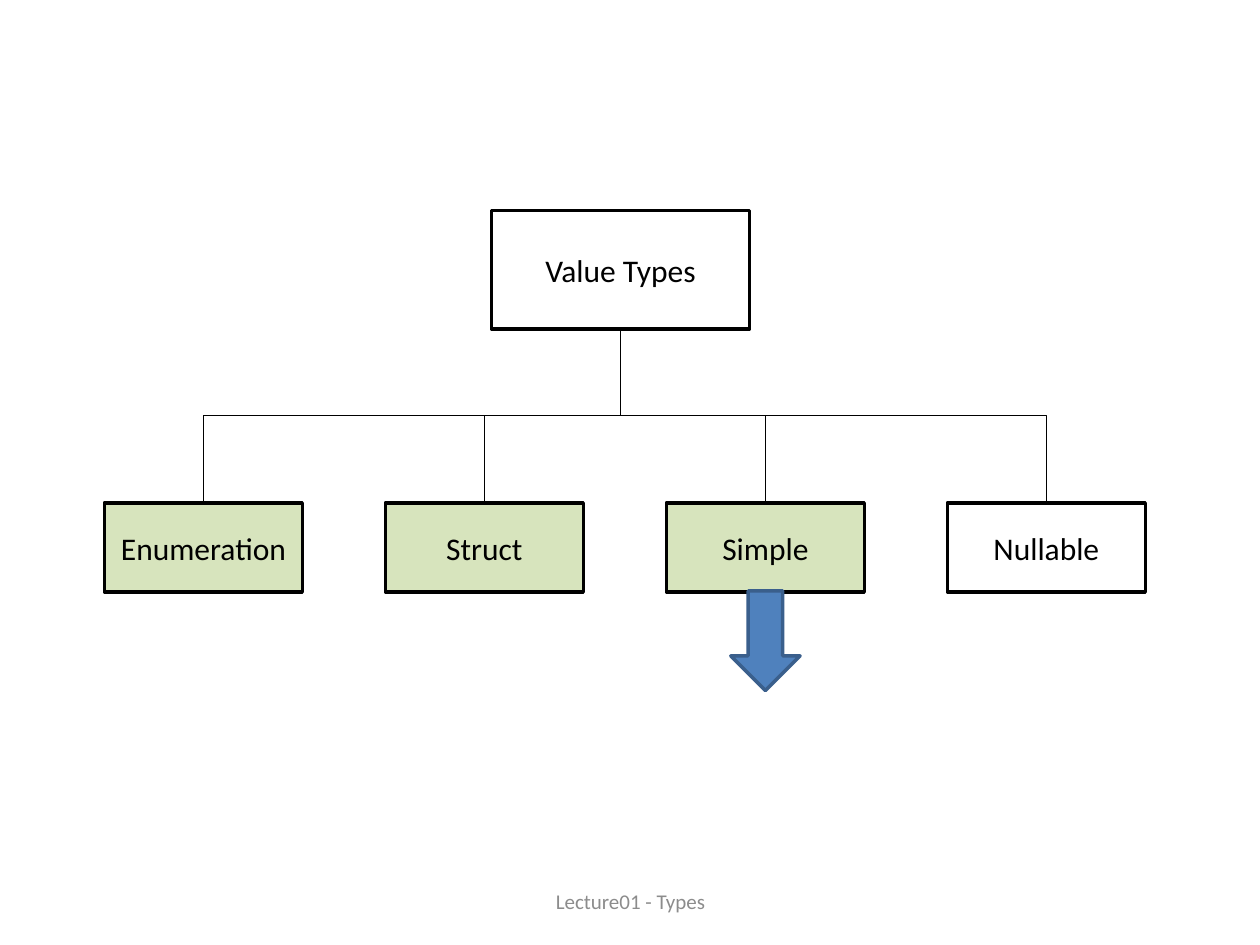
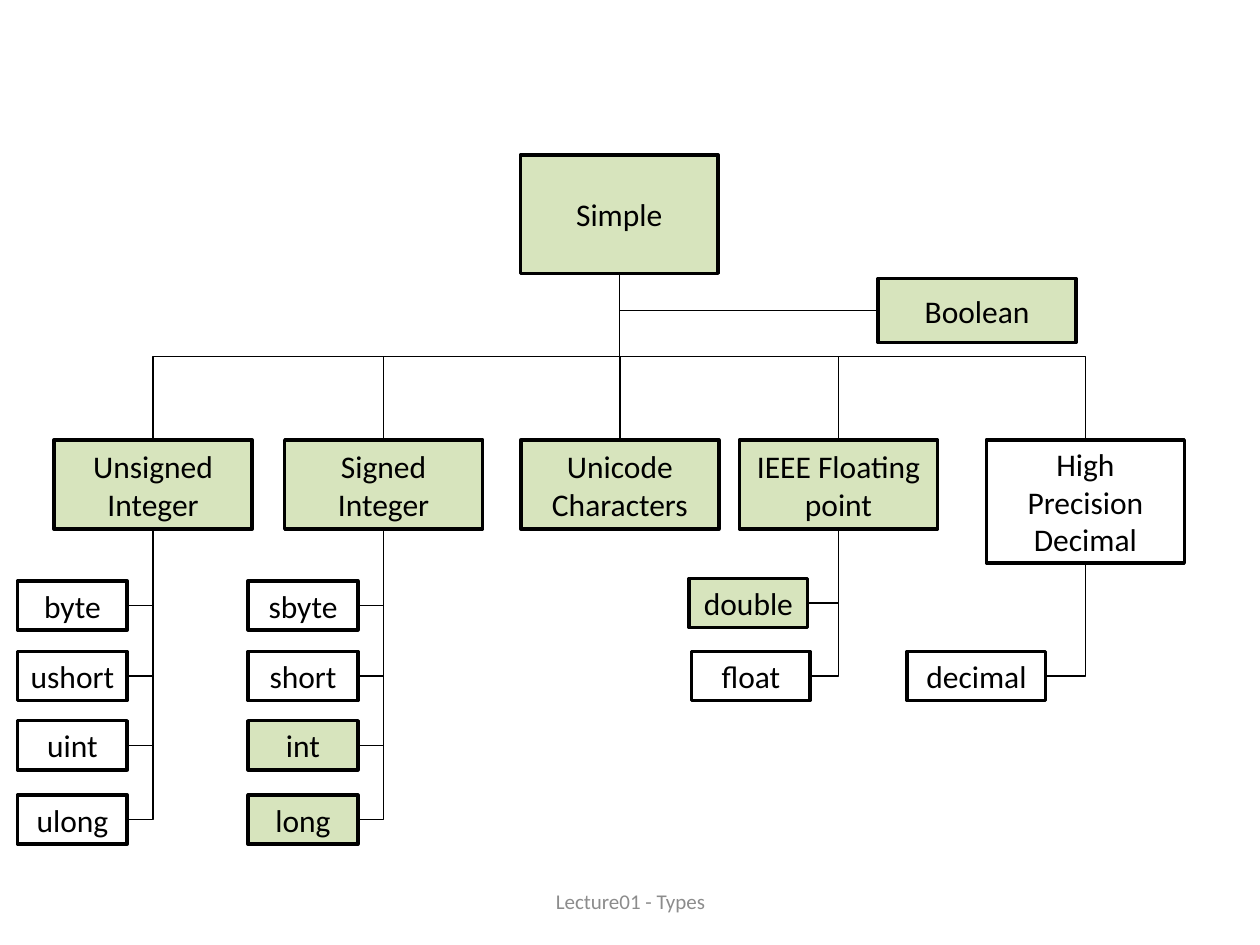
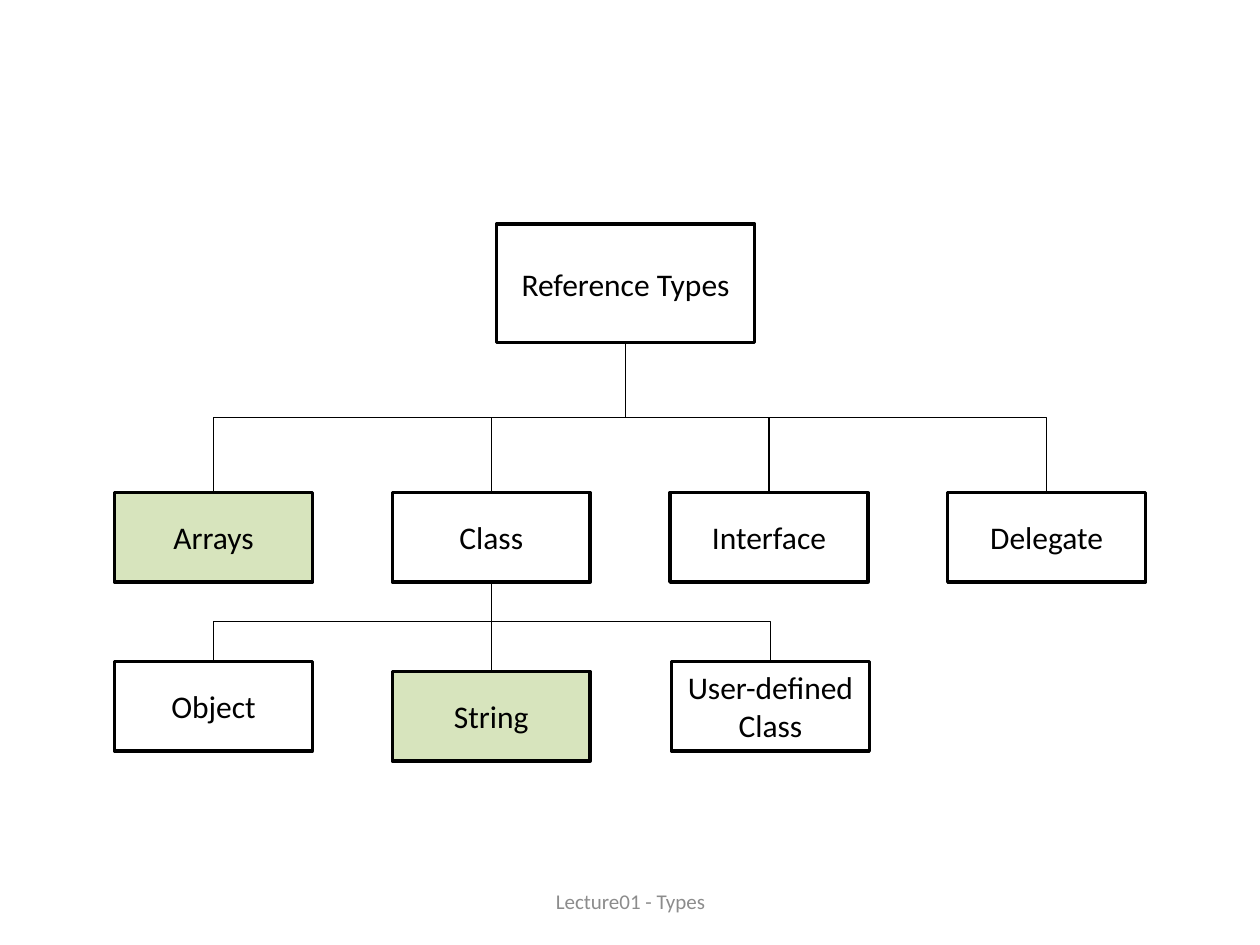
from pptx import Presentation, util as u
from pptx.dml.color import RGBColor
from pptx.enum import shapes, text
from pptx.oxml.ns import qn
from lxml import etree

COLORS = {"black": "000000", "white": "FFFFFF", "green": "D7E4BD",
          "blue": "4F81BD", "navy": "3A5F8C", "grey": "8C8C8C"}
RGB = {name: RGBColor.from_string(value) for name, value in COLORS.items()}
FONT = "Calibri"

prs = Presentation()
prs.slide_width, prs.slide_height = u.Inches(10), u.Inches(7.5)
COL, ROW = prs.slide_width / 100, prs.slide_height / 75  # grid of 100 x 75
BOX_W, BOX_H = 15.7, 7.1                                 # usual box
ROOT_H, LEAF_H = 9.4, 3.9


def box(s, label, x, y, w=BOX_W, h=BOX_H, *, fill="white", line="black",
        kind=shapes.MSO_SHAPE.RECTANGLE, size=18, color="black"):
    """Centred text in a filled shape, or in a plain text box if fill is None."""
    area = [int(v) for v in (x * COL, y * ROW, w * COL, h * ROW)]
    if fill is None:
        sp = s.shapes.add_textbox(*area)
    else:
        sp = s.shapes.add_shape(kind, *area)
        sp.shadow.inherit = False
        sp.fill.solid()
        sp.fill.fore_color.rgb = RGB[fill]
        sp.line.color.rgb = RGB[line]
        sp.line.width = u.Pt(2)
    if label:
        tf = sp.text_frame
        tf.word_wrap = True
        tf.vertical_anchor = text.MSO_ANCHOR.MIDDLE
        p = tf.paragraphs[0]
        p.alignment = text.PP_ALIGN.CENTER
        r = p.add_run()
        r.text = label
        r.font.name, r.font.size = FONT, u.Pt(size)
        r.font.color.rgb = RGB[color]
    return sp


def elbow(s, parent, child, to_side=False):
    """Bent line from the parent's bottom to the child's top or nearer side."""
    x1, y1 = parent.left + parent.width / 2, parent.top + parent.height
    x2, y2 = child.left + child.width / 2, child.top
    rightward = x2 > x1
    if to_side:
        x2 = child.left if rightward else child.left + child.width
        y2 = child.top + child.height / 2
    # The line is laid out sideways around its middle, then turned
    mx, my = (x1 + x2) / 2, (y1 + y2) / 2
    dx, dy = abs(x2 - x1) / 2, (y2 - y1) / 2
    if rightward:
        dy = -dy
    ends = [int(v) for v in (mx - dy, my - dx, mx + dy, my + dx)]
    c = s.shapes.add_connector(shapes.MSO_CONNECTOR.ELBOW, *ends)
    c.line.color.rgb = RGB["black"]
    c.line.width = u.Pt(0.75)
    pr = c._element.spPr
    pr.find(qn("a:xfrm")).set("rot", str((270 if rightward else 90) * 60000))
    if to_side:
        pr.find(qn("a:prstGeom")).set("prst", "bentConnector2")
    etree.SubElement(pr, qn("a:effectLst"))


# Three slides with the shared footer
slides = [prs.slides.add_slide(prs.slide_layouts[6]) for _ in range(3)]
for s in slides:
    box(s, "Lecture01 - Types", 34.2, 69.5, 31.7, 4, fill=None, size=12, color="grey")

# Slide 1: value types
s = slides[0]
root = box(s, "Value Types", 39, 16.7, 20.5, ROOT_H)
for i, name in enumerate(["Enumeration", "Struct", "Simple", "Nullable"]):
    fill = "white" if name == "Nullable" else "green"
    elbow(s, root, box(s, name, 8.3 + 22.3 * i, 39.9, fill=fill))
box(s, "", 58, 46.9, 5.5, 7.9, fill="blue", line="navy",
    kind=shapes.MSO_SHAPE.DOWN_ARROW)

# Slide 2: simple types, each branch with its leaves
s = slides[1]
root = box(s, "Simple", 41.3, 12.3, h=ROOT_H, fill="green")
elbow(s, root, box(s, "Boolean", 69.7, 22.1, h=5.1, fill="green"), to_side=True)
LEAF_ROWS = [46.1, 51.7, 57.2, 63.1]
USED = {"double", "int", "long"}
branches = [  # name, left, height, fill, leaf width, leaves as (name, left, top)
    ("Unsigned Integer", 4.3, BOX_H, "green", 8.7,
     [(n, 1.4, y) for n, y in zip(["byte", "ushort", "uint", "ulong"], LEAF_ROWS)]),
    ("Signed Integer", 22.6, BOX_H, "green", 8.7,
     [(n, 19.7, y) for n, y in zip(["sbyte", "short", "int", "long"], LEAF_ROWS)]),
    ("Unicode Characters", 41.35, BOX_H, "green", 0, []),
    ("IEEE Floating point", 58.7, BOX_H, "green", 9.4,
     [("double", 54.7, 45.9), ("float", 54.9, LEAF_ROWS[1])]),
    ("High Precision Decimal", 78.3, 9.8, "white", 11,
     [("decimal", 72, LEAF_ROWS[1])]),
]
for name, x, h, fill, leaf_w, leaves in branches:
    branch = box(s, name, x, 34.9, h=h, fill=fill)
    elbow(s, root, branch)
    for leaf, leaf_x, y in leaves:
        fill = "green" if leaf in USED else "white"
        elbow(s, branch, box(s, leaf, leaf_x, y, leaf_w, LEAF_H, fill=fill), to_side=True)

# Slide 3: reference types, then the kinds of class
s = slides[2]
root = box(s, "Reference Types", 39.4, 17.8, 20.5, ROOT_H)
kinds = {}
for i, name in enumerate(["Arrays", "Class", "Interface", "Delegate"]):
    fill = "green" if name == "Arrays" else "white"
    kinds[name] = box(s, name, 9.1 + 22.04 * i, 39.1, fill=fill)
    elbow(s, root, kinds[name])
for name, x, y, fill in [("Object", 9.1, 52.5, "white"),
                         ("String", 31.14, 53.3, "green"),
                         ("User-defined Class", 53.3, 52.5, "white")]:
    elbow(s, kinds["Class"], box(s, name, x, y, fill=fill))

prs.save("out.pptx")
